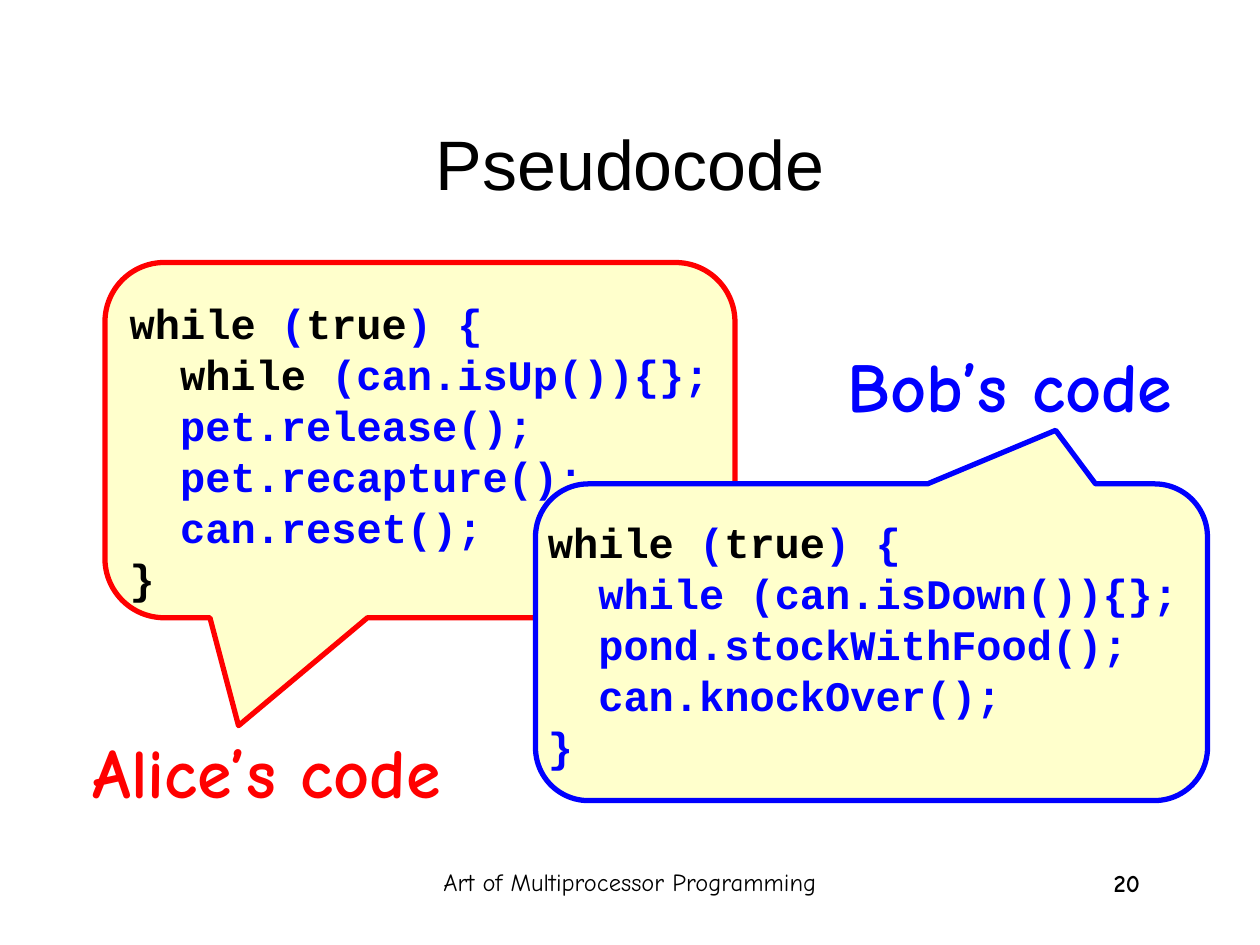
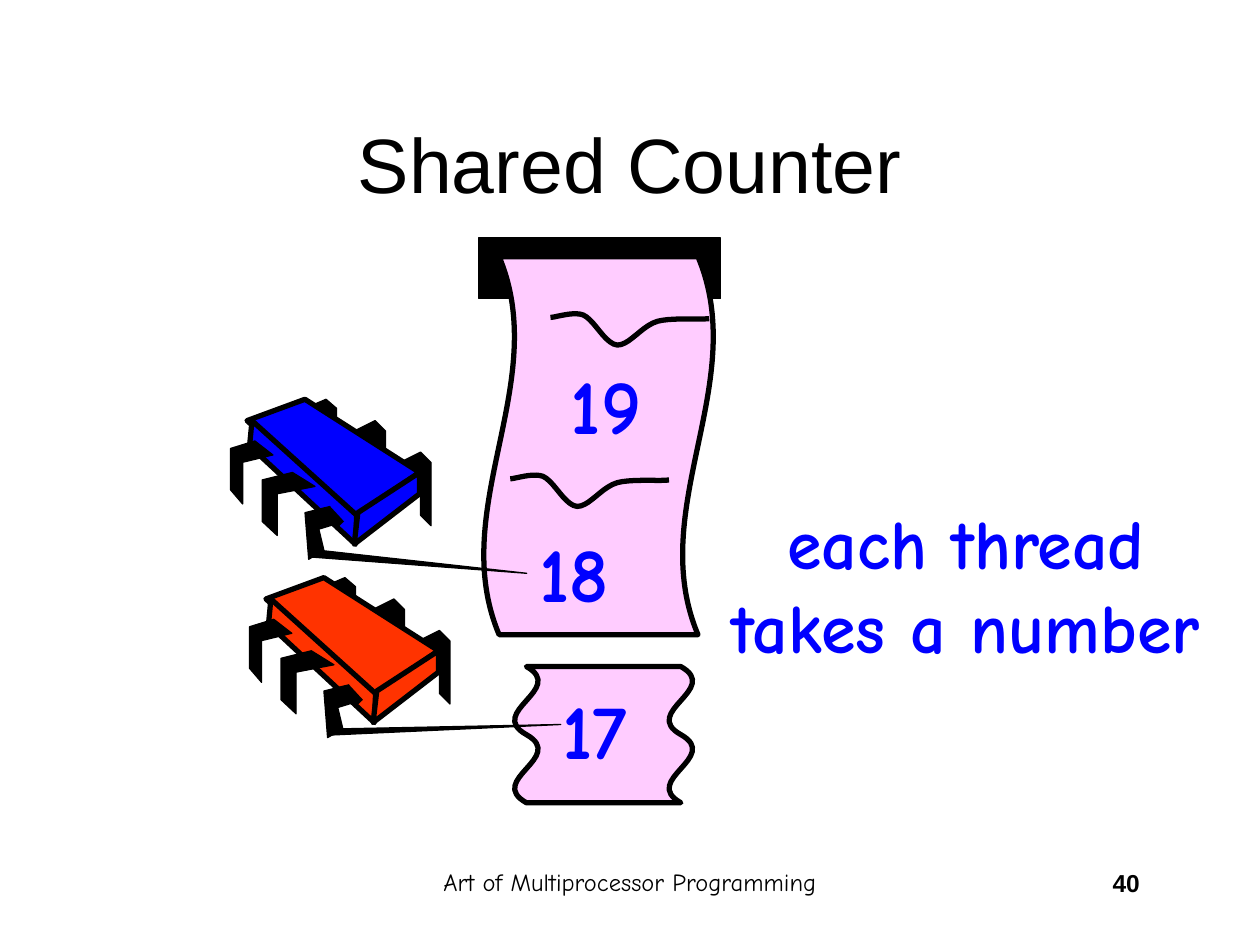
from lxml.etree import SubElement
from pptx import Presentation
from pptx.dml.color import RGBColor
from pptx.enum.shapes import MSO_SHAPE
from pptx.enum.text import MSO_ANCHOR, MSO_AUTO_SIZE, PP_ALIGN
from pptx.oxml.ns import qn
from pptx.util import Pt

BLACK = RGBColor(0, 0, 0)
BLUE = RGBColor(0, 0, 255)
RED = RGBColor(255, 0, 0)
ORANGE = RGBColor(255, 51, 0)
CREAM = RGBColor(255, 255, 204)
PINK = RGBColor(255, 204, 255)

FOOTER = {"name": "Comic Neue", "size": Pt(14)}
PAGE_NUMBER = {"name": "Comic Neue", "size": Pt(14), "bold": True}
LABEL = {"name": "Comic Neue", "size": Pt(40), "bold": True}
TICKET = {"name": "Comic Neue", "size": Pt(44), "bold": True}
CODE = {"name": "Courier New", "size": Pt(24), "bold": True}


def write(tf, lines, fmt, align=PP_ALIGN.LEFT, wrap=True):
    tf.word_wrap = wrap
    tf.auto_size = MSO_AUTO_SIZE.NONE
    for i, line in enumerate(lines):
        p = tf.paragraphs[0] if i == 0 else tf.add_paragraph()
        p.alignment = align
        if fmt is CODE:
            p.line_spacing = 0.7
            p.space_before = Pt(9 if i else 0)
        for words, color in line:
            r = p.add_run()
            r.text = words
            r.font.color.rgb = color
            for key, value in fmt.items():
                setattr(r.font, key, value)


def outline(s, origin, points, fill=BLACK, width=0.75, close=True):
    x, y = origin
    spots = [((x + dx) * 100, (y + dy) * 100) for dx, dy in points]
    builder = s.shapes.build_freeform(*spots[0], scale=Pt(0.01))
    builder.add_line_segments(spots[1:], close=close)
    sp = builder.convert_to_shape()
    sp.shadow.inherit = False
    if fill is None:
        sp.fill.background()
    else:
        sp.fill.solid()
        sp.fill.fore_color.rgb = fill
    sp.line.color.rgb = BLACK
    sp.line.width = Pt(width)
    return sp


prs = Presentation()
prs.slide_width, prs.slide_height = Pt(720), Pt(540)

slides = []
for title, size, number, number_font in [
    ("Pseudocode", 40, "20", "Comic Neue"),
    ("Shared Counter", 44, "40", "Arial"),
]:
    s = prs.slides.add_slide(prs.slide_layouts[5])
    slides.append(s)
    for words, box, fmt, align in [
        ("Art of Multiprocessor Programming", (246, 492, 228, 36), FOOTER, PP_ALIGN.CENTER),
        (number, (508.5, 492.5, 150, 36), PAGE_NUMBER | {"name": number_font}, PP_ALIGN.RIGHT),
    ]:
        sp = s.shapes.add_textbox(*map(Pt, box))
        write(sp.text_frame, [[(words, BLACK)]], fmt, align)
    sp = s.shapes.title
    sp.left, sp.top, sp.width, sp.height = map(Pt, (54, 48, 612, 90))
    sp.text_frame.vertical_anchor = MSO_ANCHOR.MIDDLE
    write(sp.text_frame, [[(title, BLACK)]], {"name": "Arial", "size": Pt(size)}, PP_ALIGN.CENTER)

pseudocode, counter = slides

LOOP = [("while", BLACK), (" (", BLUE), ("true", BLACK), (") {", BLUE)]
ALICE = [
    LOOP,
    [("  ", BLUE), ("while", BLACK), (" (can.isUp()){};", BLUE)],
    [("  pet.release();", BLUE)],
    [("  pet.recapture();", BLUE)],
    [("  can.reset();", BLUE)],
    [("}", BLACK)],
]
BOB = [
    LOOP,
    [("  while (can.isDown()){};", BLUE)],
    [("  pond.stockWithFood();", BLUE)],
    [("  can.knockOver();", BLUE)],
    [("}", BLUE)],
]
for bubble, tip, color, code, code_box, label, label_box in [
    ((60, 150, 360, 203), (-0.288, 0.804), RED, ALICE, (67, 174.2, 395, 173.5),
     "Alice’s code", (46, 412.5, 213, 55.5)),
    ((306, 276.5, 384, 181), (0.274, -0.669), BLUE, BOB, (306, 299.5, 389, 144),
     "Bob’s code", (477.5, 192.2, 199.5, 55.5)),
]:
    sp = pseudocode.shapes.add_shape(MSO_SHAPE.ROUNDED_RECTANGULAR_CALLOUT, *map(Pt, bubble))
    sp.shadow.inherit = False
    for i, value in enumerate((*tip, 0.167)):
        sp.adjustments[i] = value
    sp.fill.solid()
    sp.fill.fore_color.rgb = CREAM
    sp.line.color.rgb = color
    sp.line.width = Pt(3)
    sp = pseudocode.shapes.add_textbox(*map(Pt, code_box))
    write(sp.text_frame, code, CODE)
    sp = pseudocode.shapes.add_textbox(*map(Pt, label_box))
    write(sp.text_frame, [[(label, color)]], LABEL, PP_ALIGN.RIGHT, wrap=False)

for kind, box, bend, fill, width in [
    (MSO_SHAPE.RECTANGLE, (273.6, 136, 138.2, 34.6), None, BLACK, 0.75),
    (MSO_SHAPE.WAVE, (234, 188.8, 216, 131.8), 0.069, PINK, 3),
    (MSO_SHAPE.DOUBLE_WAVE, (306, 368.7, 77.8, 102.2), 0.068, PINK, 3),
]:
    sp = counter.shapes.add_shape(kind, *map(Pt, box))
    sp.shadow.inherit = False
    sp.fill.solid()
    sp.fill.fore_color.rgb = fill
    sp.line.color.rgb = BLACK
    sp.line.width = Pt(width)
    if bend:
        sp.rotation = 90
        sp.adjustments[0] = bend
        sp.adjustments[1] = 0

for number, box in [
    ("17", (314.6, 386.6, 51.1, 60.5)),
    ("18", (301, 296.6, 54, 60.5)),
    ("19", (319, 200.9, 54.7, 60.5)),
]:
    sp = counter.shapes.add_textbox(*map(Pt, box))
    write(sp.text_frame, [[(number, BLUE)]], TICKET, PP_ALIGN.RIGHT, wrap=False)

TEAR_CURVES = [
    ((0, 3.6), (2.9, 3.6), (13, 0), (18.7, 2.2)),
    ((18.7, 2.2), (25.2, 5), (31, 18.7), (38.2, 19.4)),
    ((38.2, 19.4), (45.4, 19.4), (51.8, 8.6), (61.2, 5.8)),
    ((61.2, 5.8), (69.8, 3.6), (85, 5), (90.7, 4.3)),
]
tear = [TEAR_CURVES[0][0]]
for curve in TEAR_CURVES:
    for step in range(1, 11):
        t = step / 10
        weights = ((1 - t) ** 3, 3 * t * (1 - t) ** 2, 3 * t * t * (1 - t), t ** 3)
        tear.append([sum(w * c[axis] for w, c in zip(weights, curve)) for axis in (0, 1)])
for origin in [(314.6, 177.8), (291.6, 270)]:
    outline(counter, origin, tear, None, 3, close=False)

sp = counter.shapes.add_textbox(*map(Pt, (396, 282.2, 311.8, 103.7)))
write(sp.text_frame, [[("each thread takes a number", BLUE)]], LABEL, PP_ALIGN.CENTER)

BACK_LEG = [(0, 6), (12, 0), (18, 6), (18, 42), (12, 36), (12, 12), (0, 18)]
FRONT_LEG = [(17.3, 0), (30.2, 8), (8.6, 12.2), (8.6, 36), (0, 28), (0, 4.3)]
CHIP_FACES = [
    [(42.5, 0), (108, 41.8), (71.3, 67), (9.4, 12.2)],
    [(12.2, 12.2), (72, 66.2), (71.3, 82.8), (10.8, 26.6)],
    [(108, 41.8), (108, 54), (70.6, 82.8), (72.7, 64.8)],
]
FOOT = [(56.9, 61.2), (42.5, 64.8), (44.6, 91.4), (53.3, 86.4), (50.4, 74.2), (64.8, 69.8)]

for (x, y), color, arm_tip in [
    ((131.8, 228.2), BLUE, (169.2, 99.4)),
    ((142.6, 330.1), ORANGE, (177.8, 83.9)),
]:
    for dx, dy, stretch in [(96.5, 30.2, 1), (70.5, 12.2, 1), (42.5, 0, 0.86)]:
        outline(counter, (x + dx, y + dy), [(px, py * stretch) for px, py in BACK_LEG])
    for face in CHIP_FACES:
        outline(counter, (x, y), face, color, 3)
    for dx, dy, stretch in [(18, 41.8, 1), (0, 23.8, 0.8)]:
        outline(counter, (x + dx, y + dy), [(px * stretch, py) for px, py in FRONT_LEG])
    outline(counter, (x, y), [(44.6, 90), arm_tip, (51.8, 86.4)], close=False)
    foot = outline(counter, (x, y), FOOT, close=False)
    SubElement(foot.line._get_or_add_ln(), qn("a:tailEnd"), type="triangle")

prs.save("out.pptx")
